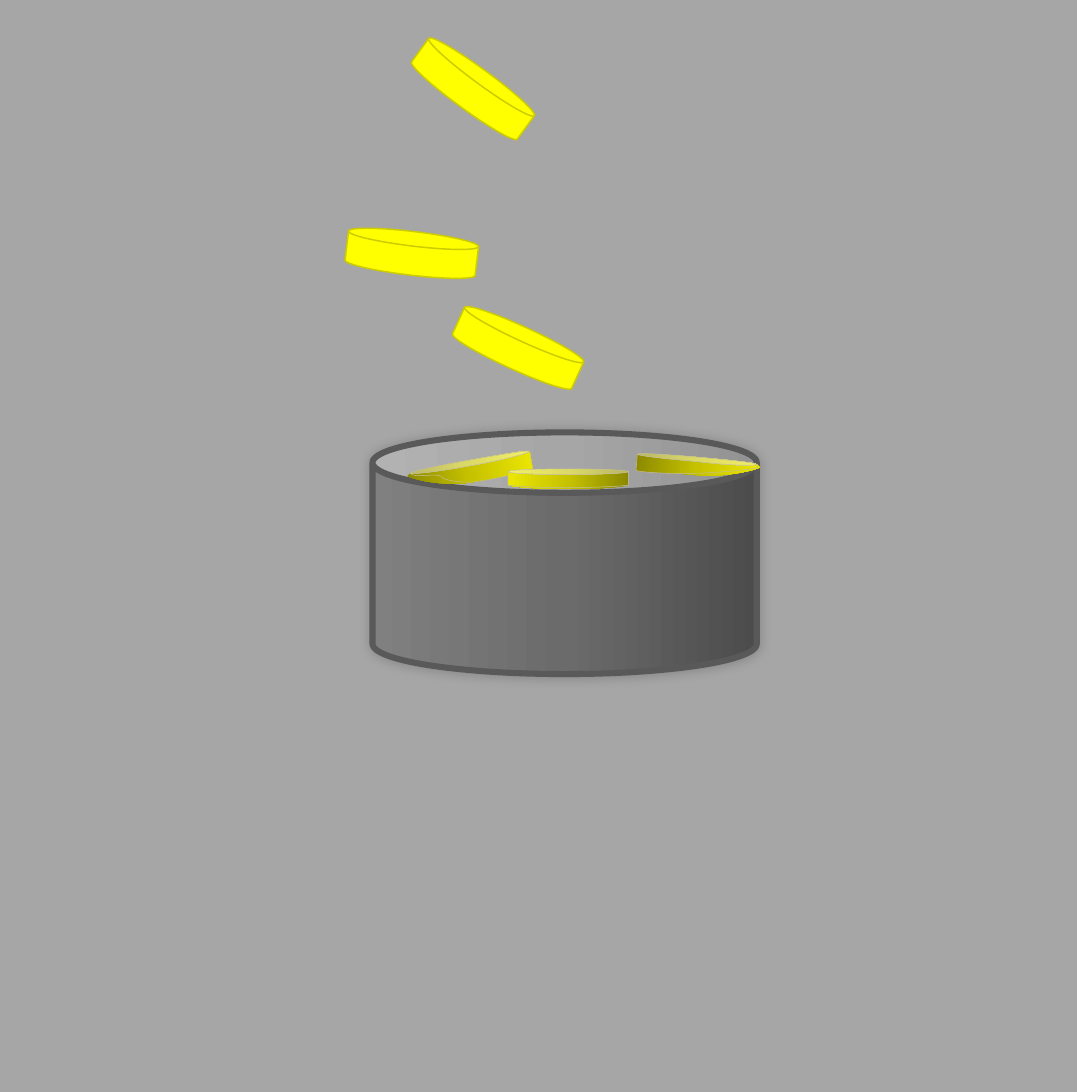
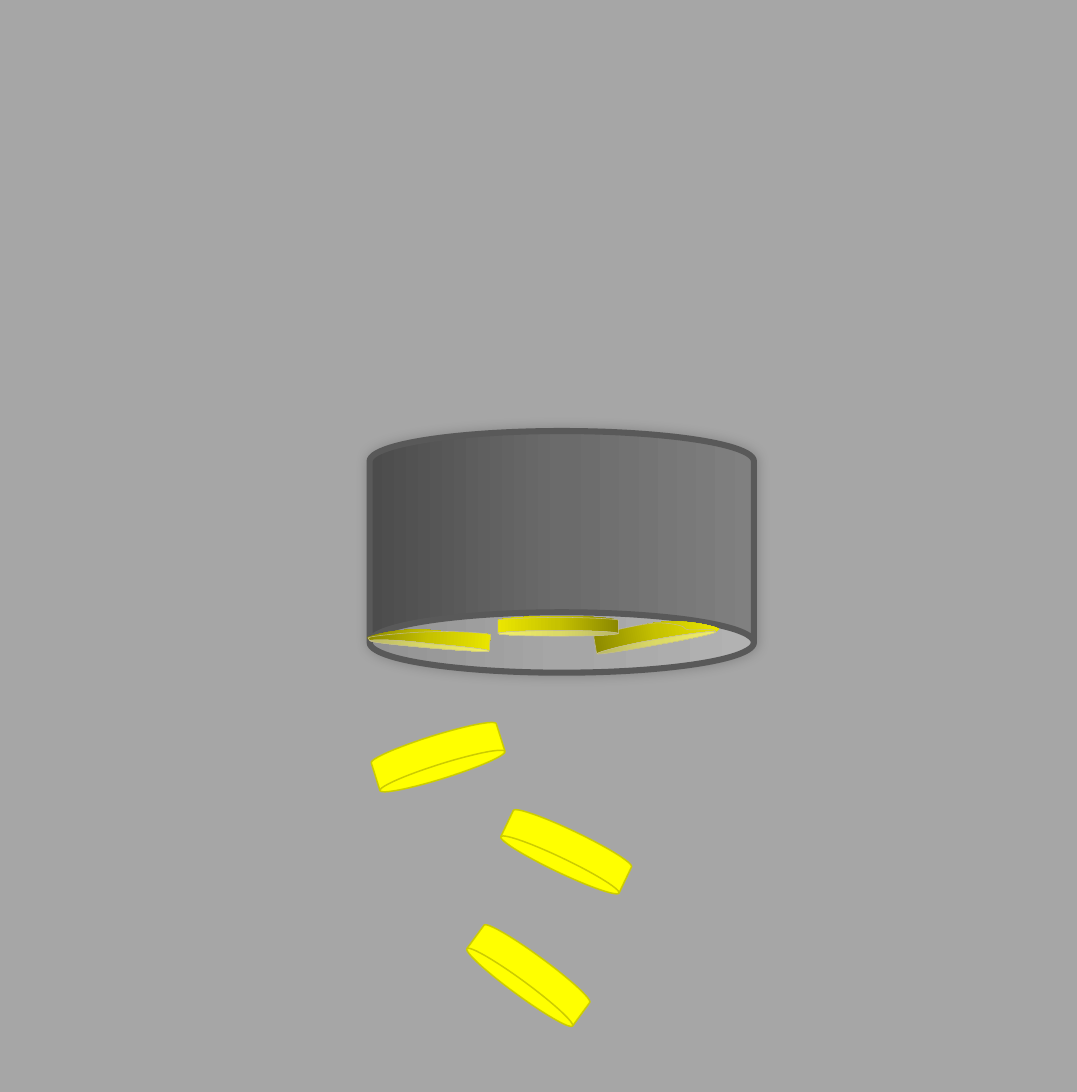
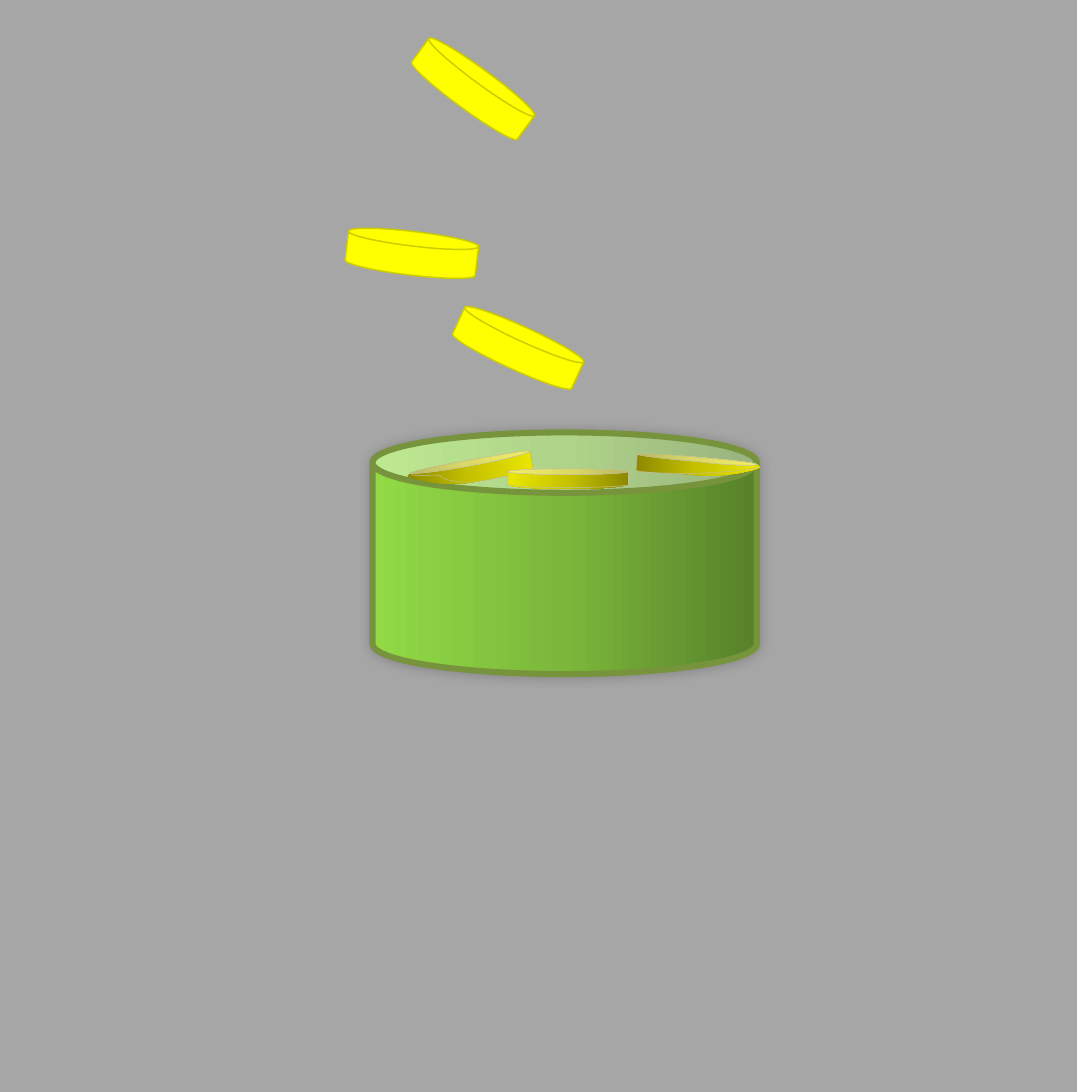
from copy import deepcopy
from math import cos, radians, sin

from lxml.etree import SubElement
from pptx import Presentation
from pptx.dml.color import RGBColor
from pptx.enum.shapes import MSO_SHAPE
from pptx.oxml.ns import qn
from pptx.util import Inches, Pt

COLORS = {
    "background": "A6A6A6",
    "coin": "FFFF00",
    "coin edge": "CCCC00",
    "inner coin edge": "C4BD97",
    "shadow": "000000",
}
GOLD = ("8B8800", "C6C200", "EBE600")
GREY_POT = {"shades": ("4C4C4C", "6B6B6B", "808080"), "edge": "595959"}
GREEN_POT = {"shades": ("57812A", "7BB73B", "92DA46"), "edge": "77933C"}
POT_SIZE = (2.64, 1.66)
COIN_SIZE = (0.9, 0.3)
UNITS = 1000

INNER_COINS = [
    {
        "box": (0.24, 0.19, 0.85, 0.15), "tilt": 349.6, "angle": 0,
        "left": (0.26, 0.28),
        "front": [(0.27, 0.29), (0.45, 0.27), (0.67, 0.23), (0.9, 0.19), (1.08, 0.14), (1.08, 0.13)],
        "back": [(0.26, 0.27), (0.44, 0.23), (0.67, 0.19), (0.89, 0.15), (1.08, 0.12), (1.08, 0.13)],
        "body": [(1.1, 0.25), (1.1, 0.26), (0.92, 0.3), (0.7, 0.34), (0.47, 0.38), (0.24, 0.31), (0.24, 0.3)],
        "edge": [(1.1, 0.25), (1.1, 0.26), (0.8, 0.33), (0.7, 0.34), (0.59, 0.35), (0.48, 0.32), (0.48, 0.31),
                 (0.47, 0.27), (0.27, 0.32), (0.26, 0.28)],
    },
    {
        "box": (1.81, 0.17, 0.84, 0.14), "tilt": 5.3, "angle": 0,
        "left": (1.82, 0.15),
        "front": [(1.82, 0.16), (2, 0.18), (2.23, 0.2), (2.46, 0.23), (2.64, 0.23), (2.64, 0.22)],
        "back": [(1.82, 0.14), (2, 0.15), (2.23, 0.17), (2.46, 0.19), (2.64, 0.21), (2.64, 0.22)],
        "body": [(2.66, 0.24), (2.66, 0.25), (2.42, 0.32), (2.19, 0.29), (1.96, 0.27), (1.81, 0.27), (1.81, 0.26)],
        "edge": [(2.65, 0.24), (2.65, 0.25), (2.36, 0.28), (2.22, 0.28), (2.08, 0.29), (1.81, 0.27), (1.81, 0.26)],
    },
    {
        "box": (0.93, 0.25, 0.83, 0.13), "tilt": 0, "angle": 180,
        "left": (0.93, 0.27),
        "front": [(0.93, 0.28), (1.11, 0.29), (1.34, 0.29), (1.57, 0.29), (1.76, 0.28), (1.76, 0.27)],
        "back": [(0.93, 0.26), (1.11, 0.25), (1.34, 0.25), (1.57, 0.25), (1.76, 0.26), (1.76, 0.27)],
        "body": [(1.76, 0.36), (1.76, 0.37), (1.57, 0.39), (1.34, 0.39), (1.11, 0.39), (0.93, 0.37), (0.93, 0.36)],
        "edge": [(1.76, 0.36), (1.76, 0.37), (1.47, 0.38), (1.33, 0.38), (1.19, 0.38), (0.93, 0.37), (0.93, 0.36)],
    },
]

FALLING_IN = [(2.8, 0.46, 36.2), (2.38, 1.59, 6.8), (3.11, 2.24, 24.6)]
FALLING_OUT = [(3.18, 6.55, 216.2), (3.44, 5.7, 205.5), (2.56, 5.05, 162.6)]
PAGES = [
    {"pot": (2.56, 2.97), "paint": GREY_POT, "turned": False, "falling": FALLING_IN},
    {"pot": (2.54, 2.96), "paint": GREY_POT, "turned": True, "falling": FALLING_OUT},
    {"pot": (2.56, 2.97), "paint": GREEN_POT, "turned": False, "falling": FALLING_IN},
]


def outline(shape, color, points):
    """Give a shape a plain line and no shadow."""
    shape.line.color.rgb = RGBColor.from_string(color)
    shape.line.width = Pt(points)
    shape.shadow.inherit = False


def shade(shape, colors, angle):
    """Fill a shape with evenly spaced gradient stops."""
    shape.fill.gradient()
    shape.fill.gradient_angle = angle
    stop_list = next(shape._element.spPr.iter(qn("a:gsLst")))
    stop_list.append(deepcopy(stop_list[0]))
    for index, (stop, color) in enumerate(zip(shape.fill.gradient_stops, colors)):
        stop.position = index / (len(colors) - 1)
        stop.color.rgb = RGBColor.from_string(color)


def soften(shape):
    """Add a soft shadow around a shape."""
    effects = shape._element.spPr.find(qn("a:effectLst"))
    shadow = SubElement(effects, qn("a:outerShdw"), blurRad=str(Pt(6)), dist="0",
                        dir=str(315 * 60000), rotWithShape="0")
    color = SubElement(shadow, qn("a:srgbClr"), val=COLORS["shadow"])
    SubElement(color, qn("a:alpha"), val="20000")


def local_point(point, box, tilt):
    """Return a point of the pot in the path units of a tilted box."""
    left, top, width, height = box
    across = point[0] - left - width / 2
    down = point[1] - top - height / 2
    turn = radians(-tilt)
    x = across * cos(turn) - down * sin(turn) + width / 2
    y = across * sin(turn) + down * cos(turn) + height / 2
    return str(round(x * UNITS)), str(round(y * UNITS))


def add_path(path_list, coin, steps, **options):
    """Write one path of move, line and curve steps."""
    width, height = coin["box"][2:]
    path = SubElement(path_list, qn("a:path"), w=str(round(width * UNITS)),
                      h=str(round(height * UNITS)), **options)
    for kind, points in steps:
        size = 3 if kind == "cubicBezTo" else 1
        for start in range(0, len(points), size):
            step = SubElement(path, qn("a:" + kind))
            for point in points[start:start + size]:
                x, y = local_point(point, coin["box"], coin["tilt"])
                SubElement(step, qn("a:pt"), x=x, y=y)
    if options.get("fill") != "none":
        SubElement(path, qn("a:close"))


def add_inner_coin(shapes, pot, coin, turned):
    """Draw a coin that is partly hidden by the rim of the pot."""
    left, top, width, height = coin["box"]
    if turned:
        left, top = POT_SIZE[0] - left - width, POT_SIZE[1] - top - height
    builder = shapes.build_freeform(0, 0, Inches(1) / UNITS)
    builder.add_line_segments([(width * UNITS, 0), (width * UNITS, height * UNITS)])
    shape = builder.convert_to_shape()
    shape.left, shape.top = Inches(pot[0] + left), Inches(pot[1] + top)
    shape.width, shape.height = Inches(width), Inches(height)
    shape.rotation = (coin["tilt"] + 180 * turned) % 360

    path_list = next(shape._element.spPr.iter(qn("a:pathLst")))
    path_list.remove(path_list[0])
    start, right = [coin["left"]], coin["front"][-1:]
    return_front = coin["front"][-2::-1] + start
    add_path(path_list, coin, [
        ("moveTo", start), ("cubicBezTo", coin["front"]), ("lnTo", coin["body"][:1]),
        ("cubicBezTo", coin["body"][1:]), ("lnTo", start),
    ], stroke="0")
    add_path(path_list, coin, [
        ("moveTo", start), ("cubicBezTo", coin["back"]), ("cubicBezTo", return_front),
    ], fill="lighten", stroke="0")
    add_path(path_list, coin, [
        ("moveTo", right), ("cubicBezTo", return_front), ("cubicBezTo", coin["back"]),
        ("lnTo", coin["edge"][:1]), ("cubicBezTo", coin["edge"][1:]), ("lnTo", start),
    ], fill="none")
    shade(shape, GOLD, (coin["angle"] + 180 * turned) % 360)
    outline(shape, COLORS["inner coin edge"], 0.25)


def add_pot(shapes, pot, paint, turned):
    """Draw the pot with the coins inside its rim."""
    can = shapes.add_shape(MSO_SHAPE.CAN, *map(Inches, pot + POT_SIZE))
    can.rotation = 180 * turned
    shade(can, paint["shades"], 180)
    outline(can, paint["edge"], 3)
    soften(can)
    for coin in INNER_COINS:
        add_inner_coin(shapes, pot, coin, turned)


def add_falling_coin(shapes, left, top, tilt):
    """Draw one whole coin in the air."""
    coin = shapes.add_shape(MSO_SHAPE.FLOWCHART_MAGNETIC_DISK, *map(Inches, (left, top) + COIN_SIZE))
    coin.rotation = tilt
    coin.fill.solid()
    coin.fill.fore_color.rgb = RGBColor.from_string(COLORS["coin"])
    outline(coin, COLORS["coin edge"], 0.75)


def add_page(deck, page):
    """Add a slide with a pot and its falling coins in one group."""
    slide = deck.slides.add_slide(deck.slide_layouts[6])
    shapes = slide.shapes.add_group_shape().shapes
    add_pot(shapes, page["pot"], page["paint"], page["turned"])
    for coin in page["falling"]:
        add_falling_coin(shapes, *coin)


def main():
    """Build the deck and save it."""
    deck = Presentation()
    deck.slide_width, deck.slide_height = Inches(7.4), Inches(7.5)
    backdrop = deck.slide_master.background.fill
    backdrop.solid()
    backdrop.fore_color.rgb = RGBColor.from_string(COLORS["background"])
    for page in PAGES:
        add_page(deck, page)
    deck.save("out.pptx")


main()
